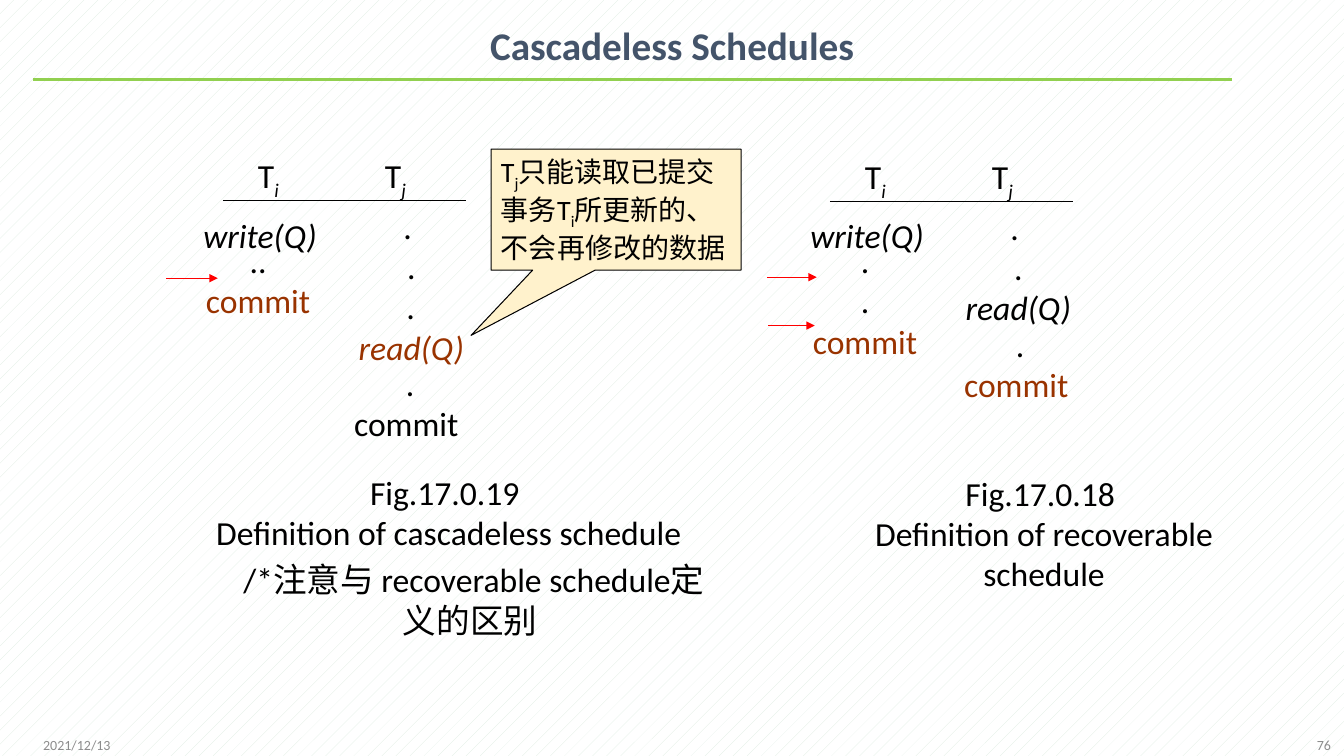
from dataclasses import dataclass
from typing import Any

from lxml.etree import SubElement
from pptx import Presentation
from pptx.dml.color import RGBColor
from pptx.enum.dml import MSO_PATTERN
from pptx.enum.shapes import MSO_CONNECTOR, MSO_SHAPE
from pptx.enum.text import MSO_ANCHOR as ANCHOR, MSO_AUTO_SIZE as AUTO, PP_ALIGN as ALIGN
from pptx.oxml.ns import qn
from pptx.util import Pt

EMU_PER_PX = 9144
BLACK, RUST, RED, GREY = "000000", "993300", "FF0000", "8C8C8C"


@dataclass
class Run:
    text: str
    color: str = BLACK
    italic: bool = False
    sub: bool = False


@dataclass
class Para:
    runs: list[Run]
    align: Any = ALIGN.CENTER
    before: int = 0
    indent: int = 0
    tab: int = 0
    spacing: float = 1.0


@dataclass
class Box:
    left: int
    top: int
    width: int
    height: int
    paras: list[Para]
    size: int = 24
    bold: bool = False
    wrap: bool = True
    grow: bool = True


@dataclass
class Line:
    x1: int
    y1: int
    x2: int
    y2: int
    color: str = BLACK
    width: float = 0.75
    arrow: bool = False


@dataclass
class Schedule:
    dx: int
    dy: int
    reads: Box
    first_commit: Box
    second_commit: Box


def px(n: int) -> int:
    return n * EMU_PER_PX


def rgb(color: str) -> RGBColor:
    return RGBColor.from_string(color)


def line_of(text: str, color: str = BLACK, italic: bool = False, **fmt: Any) -> Para:
    return Para([Run(text, color, italic)], **fmt)


def fill_text(tf: Any, box: Box) -> None:
    tf.word_wrap = box.wrap
    tf.auto_size = AUTO.SHAPE_TO_FIT_TEXT if box.grow else AUTO.NONE
    tf.vertical_anchor = ANCHOR.TOP if box.grow else ANCHOR.MIDDLE
    for i, para in enumerate(box.paras):
        p = tf.paragraphs[0] if i == 0 else tf.add_paragraph()
        p.alignment = para.align
        if para.spacing != 1:
            p.line_spacing = para.spacing
        if para.before:
            p.space_before = Pt(para.before)
        pPr = p._p.get_or_add_pPr()
        if para.indent:
            p.level = 1
            pPr.set("marL", str(px(para.indent)))
            pPr.set("indent", "0")
        if para.tab:
            tabs = SubElement(pPr, qn("a:tabLst"))
            SubElement(tabs, qn("a:tab"), pos=str(px(para.tab)), algn="l")
        for run in para.runs:
            r = p.add_run()
            r.text = run.text
            fmt = {"name": "Calibri", "size": Pt(box.size), "bold": box.bold, "italic": run.italic}
            for name, value in fmt.items():
                setattr(r.font, name, value)
            r.font.color.rgb = rgb(run.color)
            if run.sub:
                r._r.get_or_add_rPr().set("baseline", "-25000")


def add_text(shapes: Any, box: Box) -> None:
    s = shapes.add_textbox(px(box.left), px(box.top), px(box.width), px(box.height))
    fill_text(s.text_frame, box)


def add_line(shapes: Any, line: Line) -> None:
    s = shapes.add_connector(MSO_CONNECTOR.STRAIGHT, px(line.x1), px(line.y1), px(line.x2), px(line.y2))
    s.line.color.rgb = rgb(line.color)
    s.line.width = Pt(line.width)
    if line.arrow:
        SubElement(s.line._get_or_add_ln(), qn("a:tailEnd"), type="triangle")
    SubElement(s._element.spPr, qn("a:effectLst"))


def add_schedule(shapes: Any, sched: Schedule) -> None:
    group = shapes.add_group_shape().shapes
    dx, dy = sched.dx, sched.dy
    heading = Para([Run("T"), Run("i", italic=True, sub=True), Run("\tT"),
                    Run("j", italic=True, sub=True)], ALIGN.LEFT, tab=126)
    add_text(group, Box(246 + dx, 149 + dy, 208, 50, [heading]))
    add_line(group, Line(221 + dx, 199 + dy, 462 + dx, 199 + dy))
    add_text(group, Box(187 + dx, 208, 142, 50, [line_of("write(Q)", italic=True)]))
    for box in (sched.reads, sched.first_commit, sched.second_commit):
        add_text(group, box)


def add_callout(shapes: Any) -> None:
    note = Para([Run("T"), Run("j", sub=True), Run("只能读取已提交事务T"),
                 Run("i", sub=True), Run("所更新的、不会再修改的数据")], ALIGN.LEFT)
    box = Box(487, 148, 248, 120, [note], size=20)
    s = shapes.add_shape(MSO_SHAPE.RECTANGULAR_CALLOUT, px(box.left), px(box.top), px(box.width), px(box.height))
    s.shadow.inherit = False
    s.adjustments[0], s.adjustments[1] = -0.58, 1.04
    s.fill.solid()
    s.fill.fore_color.rgb = rgb("FFF2CC")
    s.line.color.rgb = rgb(BLACK)
    s.line.width = Pt(0.75)
    fill_text(s.text_frame, box)
    s.text_frame.auto_size = AUTO.NONE


SCHEDULES = [
    Schedule(
        0, 0,
        Box(337, 199, 142, 172, [line_of(". "), line_of("."), line_of(".", italic=True),
                                 line_of("read(Q)", RUST, True)]),
        Box(194, 233, 124, 91, [line_of(".."), line_of("commit", RUST)], wrap=False),
        Box(341, 355, 124, 91, [line_of(" ."), line_of("commit")], wrap=False)),
    Schedule(
        602, 1,
        Box(939, 200, 142, 131, [line_of(". "), line_of("."), line_of("read(Q)", italic=True)]),
        Box(796, 233, 124, 131, [line_of("."), line_of("."), line_of("commit", RUST)], wrap=False),
        Box(946, 316, 124, 91, [line_of(" ."), line_of("commit", RUST)], wrap=False)),
]
TEXTS = [
    Box(34, 9, 1265, 77, [line_of("Cascadeless Schedules", "44546A", spacing=0.9)],
        size=28, bold=True, grow=False),
    Box(33, 719, 300, 40, [line_of("2021/12/13", GREY, align=ALIGN.LEFT)], size=10, grow=False),
    Box(1030, 719, 300, 40, [line_of("76", GREY, align=ALIGN.RIGHT)], size=10, grow=False),
    Box(165, 463, 560, 180, [line_of("Fig.17.0.19 "), line_of("Definition of cascadeless schedule"),
                             line_of("/*注意与 recoverable schedule定义的区别 ", before=5, indent=50)]),
    Box(811, 464, 449, 131, [line_of("Fig.17.0.18 "), line_of("Definition of recoverable schedule")]),
]
LINES = [
    Line(33, 79, 1222, 79, "92D050", 2.25),
    Line(762, 323, 808, 323, RED, arrow=True),
    Line(761, 275, 810, 275, RED, arrow=True),
    Line(165, 276, 216, 276, RED, arrow=True),
]


def main() -> None:
    prs = Presentation()
    prs.slide_width, prs.slide_height = px(1333), px(750)
    slide = prs.slides.add_slide(prs.slide_layouts[6])
    fill = slide.background.fill
    fill.patterned()
    fill.pattern = MSO_PATTERN.PERCENT_5
    fill.fore_color.rgb = rgb("DCECE0")
    fill.back_color.rgb = rgb("FFFFFF")
    for line in LINES:
        add_line(slide.shapes, line)
    for box in TEXTS:
        add_text(slide.shapes, box)
    for sched in SCHEDULES:
        add_schedule(slide.shapes, sched)
    add_callout(slide.shapes)
    prs.save("out.pptx")


if __name__ == "__main__":
    main()
